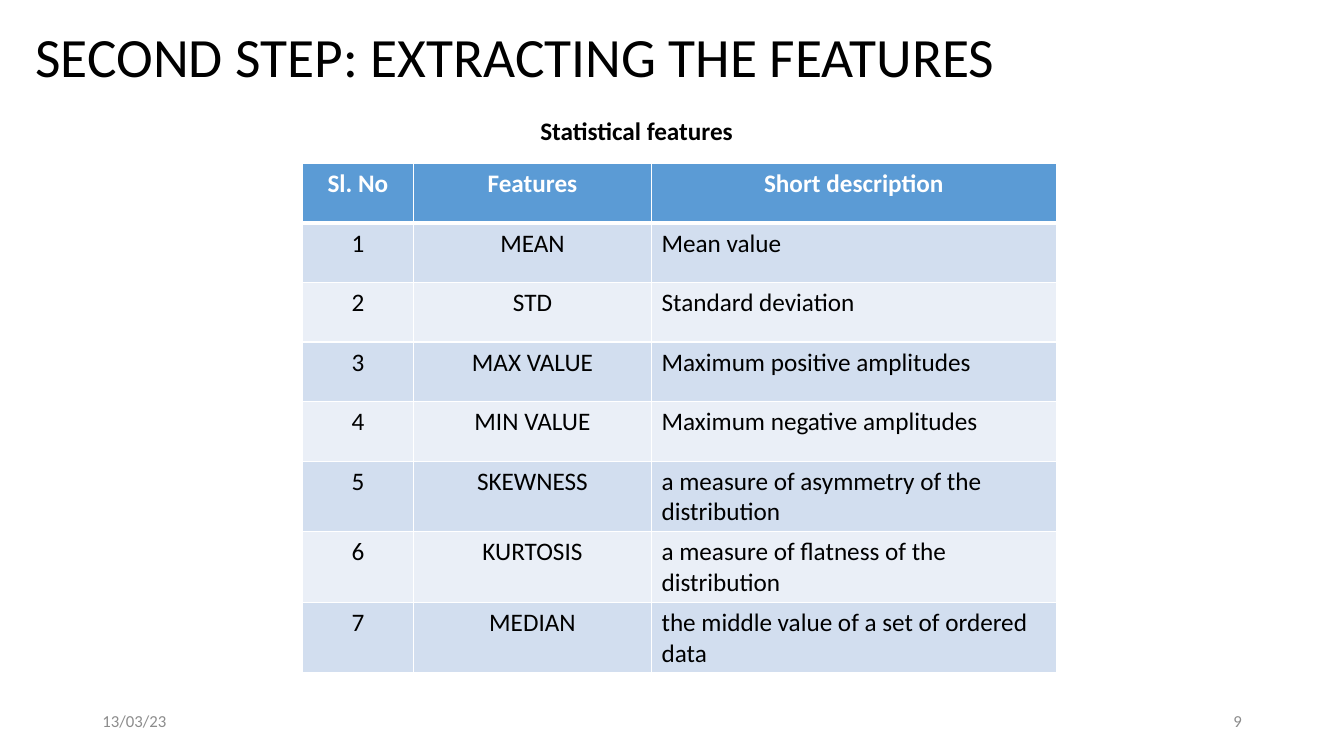
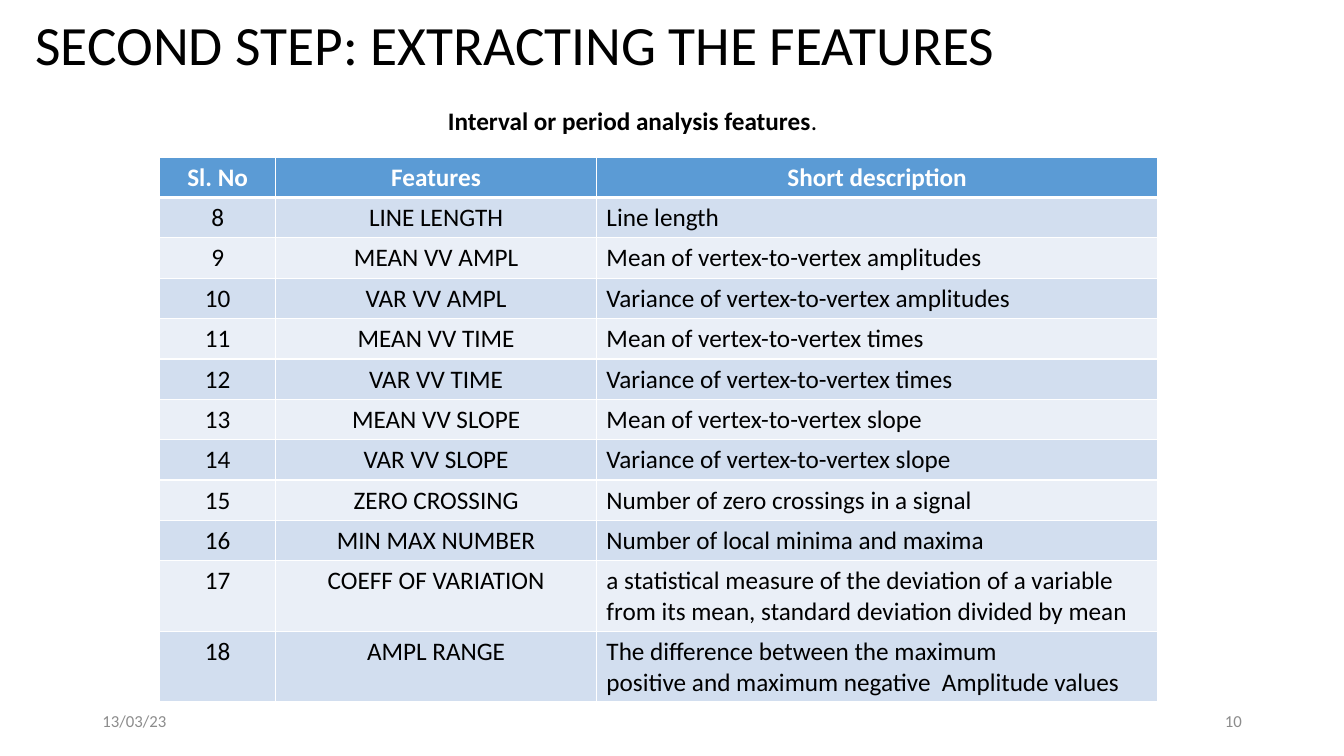
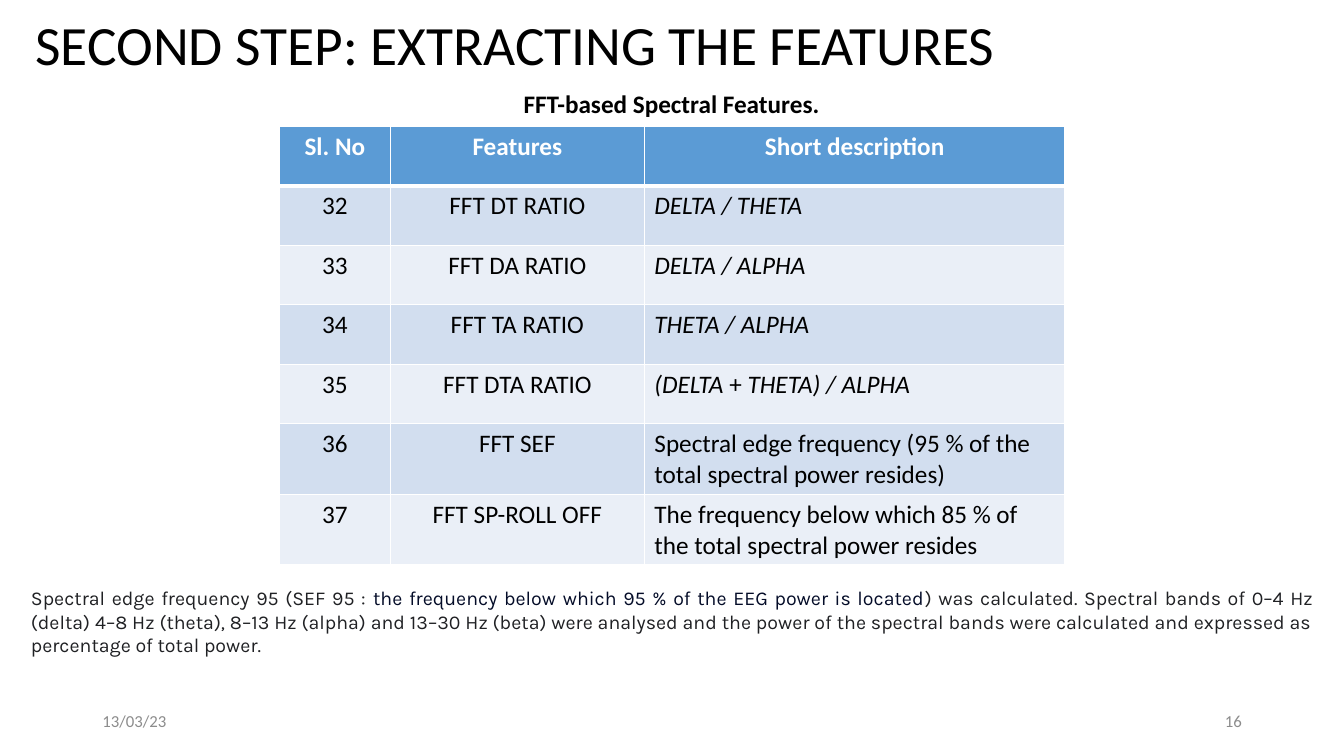
from lxml.etree import SubElement
from pptx import Presentation
from pptx.dml.color import RGBColor
from pptx.enum.text import MSO_ANCHOR as Anchor, MSO_AUTO_SIZE as AutoSize, PP_ALIGN as Align
from pptx.oxml.ns import qn
from pptx.util import Cm, Pt

FONT, NOTE_FONT = "Calibri", "Karla"
BLACK, WHITE, GREY = "000000", "FFFFFF", "8C8C8C"
HEADER_FILL = "5B9BD5"
BAND_FILLS = ("D2DEEF", "EAEFF7")
NOTE_COLOR, NOTE_ACCENT = "202124", "040C28"

TITLE = "SECOND STEP: EXTRACTING THE FEATURES"
DATE = "13/03/23"
HEADINGS = ("Sl. No", "Features", "Short description")
ITALIC = {"italic": True}

STATISTICAL_ROWS = [
    ("MEAN", "Mean value"),
    ("STD", "Standard deviation"),
    ("MAX VALUE", "Maximum positive amplitudes"),
    ("MIN VALUE", "Maximum negative amplitudes"),
    ("SKEWNESS", "a measure of asymmetry of the distribution"),
    ("KURTOSIS", "a measure of flatness of the distribution"),
    ("MEDIAN", "the middle value of a set of ordered data"),
]
INTERVAL_ROWS = [
    ("LINE LENGTH", "Line length"),
    ("MEAN VV AMPL", "Mean of vertex-to-vertex amplitudes"),
    ("VAR VV AMPL", "Variance of vertex-to-vertex amplitudes"),
    ("MEAN VV TIME", "Mean of vertex-to-vertex times"),
    ("VAR VV TIME", "Variance of vertex-to-vertex times"),
    ("MEAN VV SLOPE", "Mean of vertex-to-vertex slope"),
    ("VAR VV SLOPE", "Variance of vertex-to-vertex slope"),
    ("ZERO CROSSING", "Number of zero crossings in a signal"),
    ("MIN MAX NUMBER", "Number of local minima and maxima"),
    ("COEFF OF VARIATION", "a statistical measure of the deviation of a variable "
                           "from its mean, standard deviation divided by mean"),
    ("AMPL RANGE", "The difference between the maximum\n"
                   "positive and maximum negative  Amplitude values"),
]
SPECTRAL_ROWS = [
    ("FFT DT RATIO", [("DELTA / THETA", ITALIC)]),
    ("FFT DA RATIO", [("DELTA / ALPHA", ITALIC)]),
    ("FFT TA RATIO", [("THETA / ALPHA", ITALIC)]),
    ("FFT DTA RATIO", [("(DELTA ", ITALIC), ("+ ", {}), ("THETA) / ALPHA", ITALIC)]),
    ("FFT SEF", "Spectral edge frequency (95 % of the total spectral power resides)"),
    ("FFT SP-ROLL OFF", "The frequency below which 85 % of the total spectral power resides"),
]
SPECTRAL_NOTE = [
    ("Spectral edge frequency 95 (SEF 95 : ", {}),
    ("the frequency below which 95 % of the EEG power is located", {"color": NOTE_ACCENT}),
    (") was calculated. Spectral bands of 0–4 Hz (delta) 4–8 Hz (theta), 8–13 Hz (alpha) "
     "and 13–30 Hz (beta) were analysed and the power of the spectral bands were calculated "
     "and expressed as percentage of total power.", {}),
]


def rgb(value):
    return RGBColor.from_string(value)


def format_font(font, size=18, color=BLACK, bold=False, italic=False, name=FONT):
    font.name, font.size, font.bold, font.italic = name, Pt(size), bold, italic
    font.color.rgb = rgb(color)


def write_text(frame, content, align=Align.LEFT, spacing=None, **font):
    """Fill a frame with a string (one paragraph a line) or a list of (text, font changes)."""
    if isinstance(content, str):
        paragraphs = [[(line, {})] for line in content.split("\n")]
    else:
        paragraphs = [content]
    for index, runs in enumerate(paragraphs):
        paragraph = frame.add_paragraph() if index else frame.paragraphs[0]
        paragraph.alignment = align
        paragraph.line_spacing = spacing
        for text, changes in runs:
            run = paragraph.add_run()
            run.text = text
            format_font(run.font, **{**font, **changes})


def add_text(slide, box, content, anchor=Anchor.TOP, wrap=True, **style):
    frame = slide.shapes.add_textbox(*map(Cm, box)).text_frame
    frame.word_wrap = wrap
    frame.vertical_anchor = anchor
    write_text(frame, content, **style)


def set_borders(cell, bottom):
    """Draw white cell borders, 1 pt except for the bottom one."""
    properties = cell._tc.get_or_add_tcPr()
    for index, (side, width) in enumerate((("L", 1), ("R", 1), ("T", 1), ("B", bottom))):
        line = SubElement(properties, qn(f"a:ln{side}"), w=str(Pt(width)))
        fill = SubElement(line, qn("a:solidFill"))
        SubElement(fill, qn("a:srgbClr"), val=WHITE)
        properties.insert(index, line)


def add_feature_table(slide, left, top, widths, row_height, first_number, features):
    rows = [HEADINGS]
    rows += [(str(number), *feature) for number, feature in enumerate(features, first_number)]
    table = slide.shapes.add_table(len(rows), len(widths), Cm(left), Cm(top),
                                   Cm(sum(widths)), Cm(row_height * len(rows))).table
    for column, width in zip(table.columns, widths):
        column.width = Cm(width)
    for row_index, row in enumerate(rows):
        table.rows[row_index].height = Cm(row_height)
        header = row_index == 0
        for column_index, content in enumerate(row):
            cell = table.cell(row_index, column_index)
            cell.fill.solid()
            cell.fill.fore_color.rgb = rgb(HEADER_FILL if header else BAND_FILLS[(row_index - 1) % 2])
            set_borders(cell, bottom=3 if header else 1)
            centred = header or column_index < 2
            write_text(cell.text_frame, content, bold=header, color=WHITE if header else BLACK,
                       align=Align.CENTER if centred else Align.LEFT)


def add_title(slide, top):
    title = slide.shapes.title
    title.left, title.top, title.width, title.height = map(Cm, (0.64, top, 29.21, 1.73))
    frame = title.text_frame
    frame.auto_size = AutoSize.NONE
    frame.vertical_anchor = Anchor.MIDDLE
    write_text(frame, TITLE, size=39.6, spacing=0.9)


def add_footer(slide, number):
    for left, text, align in ((2.33, DATE, Align.LEFT), (23.93, str(number), Align.RIGHT)):
        add_text(slide, (left, 17.65, 7.62, 1.01), text, anchor=Anchor.MIDDLE,
                 size=12, color=GREY, align=align)


def add_feature_slide(presentation, number, title_top, caption, caption_box, **table):
    slide = presentation.slides.add_slide(presentation.slide_layouts.get_by_name("Title Only"))
    add_title(slide, title_top)
    add_text(slide, caption_box, caption, wrap=False, bold=True, align=Align.CENTER)
    add_feature_table(slide, **table)
    add_footer(slide, number)
    return slide


def main():
    presentation = Presentation()
    presentation.slide_width, presentation.slide_height = Cm(33.87), Cm(19.05)

    add_feature_slide(
        presentation, 9, 0.64, "Statistical features", (13.34, 2.79, 5.41, 1.02),
        left=7.62, top=4.12, widths=(2.8, 6.0, 10.2), row_height=1.5,
        first_number=1, features=STATISTICAL_ROWS)
    add_feature_slide(
        presentation, 10, 0.33,
        [("Interval or period analysis features", {}), (".", {"bold": False})],
        (11, 2.54, 9.88, 1.02),
        left=4.02, top=3.96, widths=(2.93, 8.08, 14.15), row_height=1.0,
        first_number=8, features=INTERVAL_ROWS)
    spectral = add_feature_slide(
        presentation, 16, 0.33, "FFT-based Spectral Features.", (6.32, 2.11, 21.21, 1.02),
        left=7.04, top=3.18, widths=(2.8, 6.4, 10.6), row_height=1.5,
        first_number=32, features=SPECTRAL_ROWS)
    add_text(spectral, (0.53, 14.65, 32.82, 1.45), SPECTRAL_NOTE,
             size=14, name=NOTE_FONT, color=NOTE_COLOR, align=Align.JUSTIFY)

    presentation.save("out.pptx")


if __name__ == "__main__":
    main()
